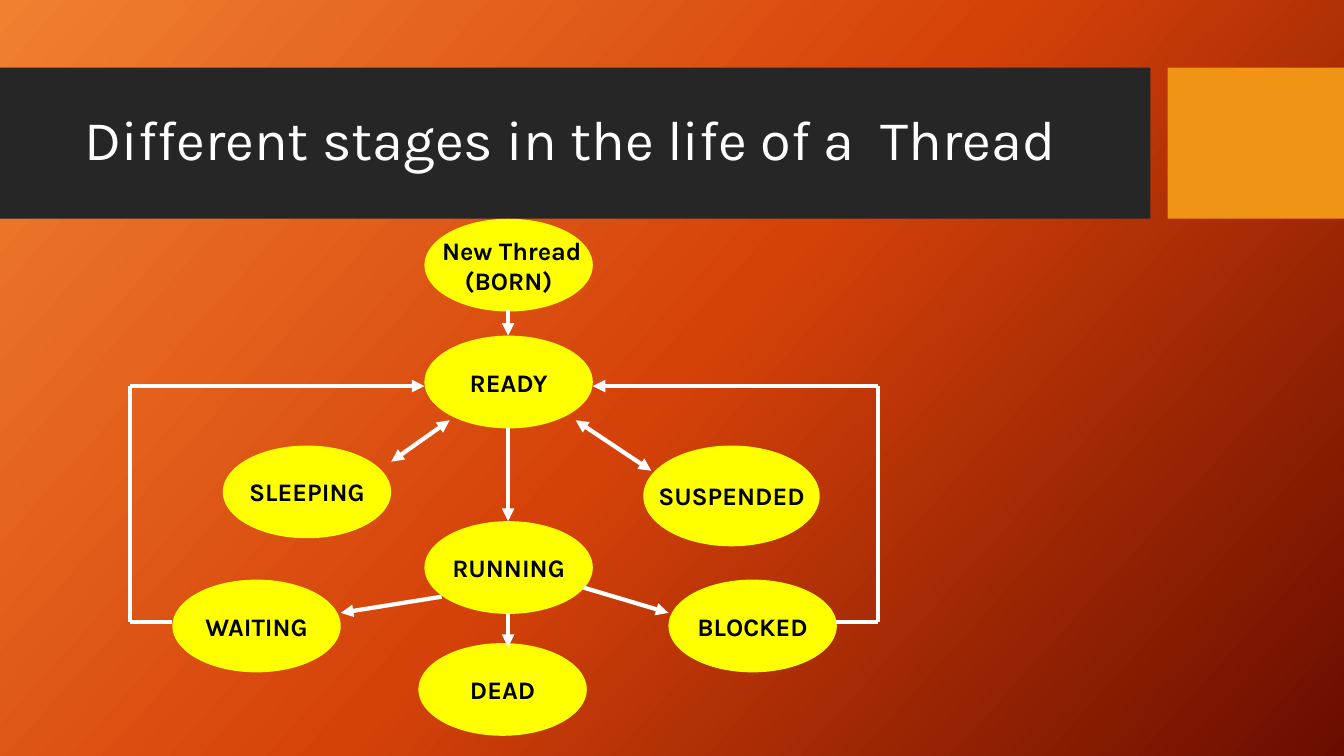
from copy import deepcopy
from lxml.etree import SubElement as Sub
from pptx import Presentation
from pptx.dml.color import RGBColor as Rgb
from pptx.enum.shapes import MSO_CONNECTOR as Link, MSO_SHAPE as Form
from pptx.enum.text import MSO_ANCHOR as Anchor, PP_ALIGN as Align
from pptx.oxml.ns import qn
from pptx.util import Inches, Pt

HUES = {"light": "F18031", "mid": "D54209", "deep": "6A0D00", "band": "262626",
        "tab": "F09415", "node": "FFFF00", "ink": "000000", "white": "FFFFFF"}
FONT = "Karla"
WIDE, HIGH = 1.67, 0.92
MID = 5.04

STATES = [
    (" New Thread\n(BORN)", 4.21, 2.17, WIDE, HIGH),
    ("READY", 4.21, 3.33, WIDE, HIGH),
    ("RUNNING", 4.21, 5.17, WIDE, HIGH),
    ("DEAD", 4.15, 6.38, WIDE, HIGH),
    ("SLEEPING", 2.21, 4.42, WIDE, HIGH),
    ("WAITING", 1.71, 5.75, WIDE, HIGH),
    ("BLOCKED", 6.63, 5.75, WIDE, HIGH),
    ("SUSPENDED", 6.38, 4.42, 1.75, 1),
]
ONE, BOTH = ("tailEnd",), ("headEnd", "tailEnd")
MOVES = [
    ([(MID, 3.08), (MID, 3.33)], ONE),
    ([(MID, 4.25), (MID, 5.17)], ONE),
    ([(MID, 6.08), (MID, 6.42)], ONE),
    ([(4.38, 5.92), (3.38, 6.08)], ONE),
    ([(5.79, 5.83), (6.63, 6.08)], ONE),
    ([(4.46, 4.17), (3.88, 4.58)], BOTH),
    ([(6.46, 4.67), (5.71, 4.17)], BOTH),
    ([(1.71, 6.17), (1.29, 6.17), (1.29, 3.83), (4.21, 3.83)], ONE),
    ([(8.29, 6.17), (8.71, 6.17), (8.71, 3.83), (5.88, 3.83)], ONE),
]


def hue(name):
    return Rgb.from_string(HUES[name])


class Chart:
    """Draws the parts of a thread state diagram in one style."""

    def __init__(self, slide):
        self.slide = slide
        self.shapes = slide.shapes

    def back(self, names, angle):
        fill = self.slide.background.fill
        fill.gradient()
        fill.gradient_angle = 360 - angle
        stops = self.slide.element.find(".//" + qn("a:gsLst"))
        stops.append(deepcopy(stops[0]))
        for i, (stop, name) in enumerate(zip(fill.gradient_stops, names)):
            stop.position = i / (len(names) - 1)
            stop.color.rgb = hue(name)

    def shape(self, form, box, color):
        item = self.shapes.add_shape(form, *map(Inches, box))
        item.shadow.inherit = False
        item.fill.solid()
        item.fill.fore_color.rgb = hue(color)
        item.line.fill.background()
        return item

    def label(self, item, text, size, color, align, bold=False, wrap=True):
        frame = item.text_frame
        frame.word_wrap = wrap
        frame.vertical_anchor = Anchor.MIDDLE
        frame.text = text
        for para in frame.paragraphs:
            para.alignment = align
            font = para.font
            font.name, font.size, font.bold = FONT, Pt(size), bold
            font.color.rgb = hue(color)

    def title(self, text, box):
        item = self.shapes.add_textbox(*map(Inches, box))
        self.label(item, text, 40, "white", Align.LEFT)
        item.text_frame.paragraphs[0].line_spacing = 0.9

    def state(self, text, *box):
        item = self.shape(Form.OVAL, box, "node")
        self.label(item, text, 18, "ink", Align.CENTER, bold=True, wrap=False)

    def line(self, start, end, ends=()):
        item = self.shapes.add_connector(
            Link.STRAIGHT, *map(Inches, start + end))
        item.line.color.rgb = hue("white")
        item.line.width = Pt(3)
        props = item.element.spPr
        Sub(props, qn("a:effectLst"))
        for tag in ends:
            Sub(props.find(qn("a:ln")), qn("a:" + tag), type="triangle")

    def route(self, points, ends):
        last = len(points) - 2
        for i, pair in enumerate(zip(points, points[1:])):
            self.line(*pair, ends if i == last else ())


def main():
    deck = Presentation()
    deck.slide_width, deck.slide_height = Inches(13.33), Inches(7.5)
    chart = Chart(deck.slides.add_slide(deck.slide_layouts[6]))
    chart.back(["light", "mid", "deep"], 42)
    chart.shape(Form.RECTANGLE, (0, 0.67, 11.41, 1.5), "band")
    chart.shape(Form.RECTANGLE, (11.58, 0.67, 1.75, 1.5), "tab")
    chart.title("Different stages in the life of a  Thread",
                (0.74, 0.82, 10.51, 1.18))
    for state in STATES:
        chart.state(*state)
    for points, ends in MOVES:
        chart.route(points, ends)
    deck.save("out.pptx")


if __name__ == "__main__":
    main()
